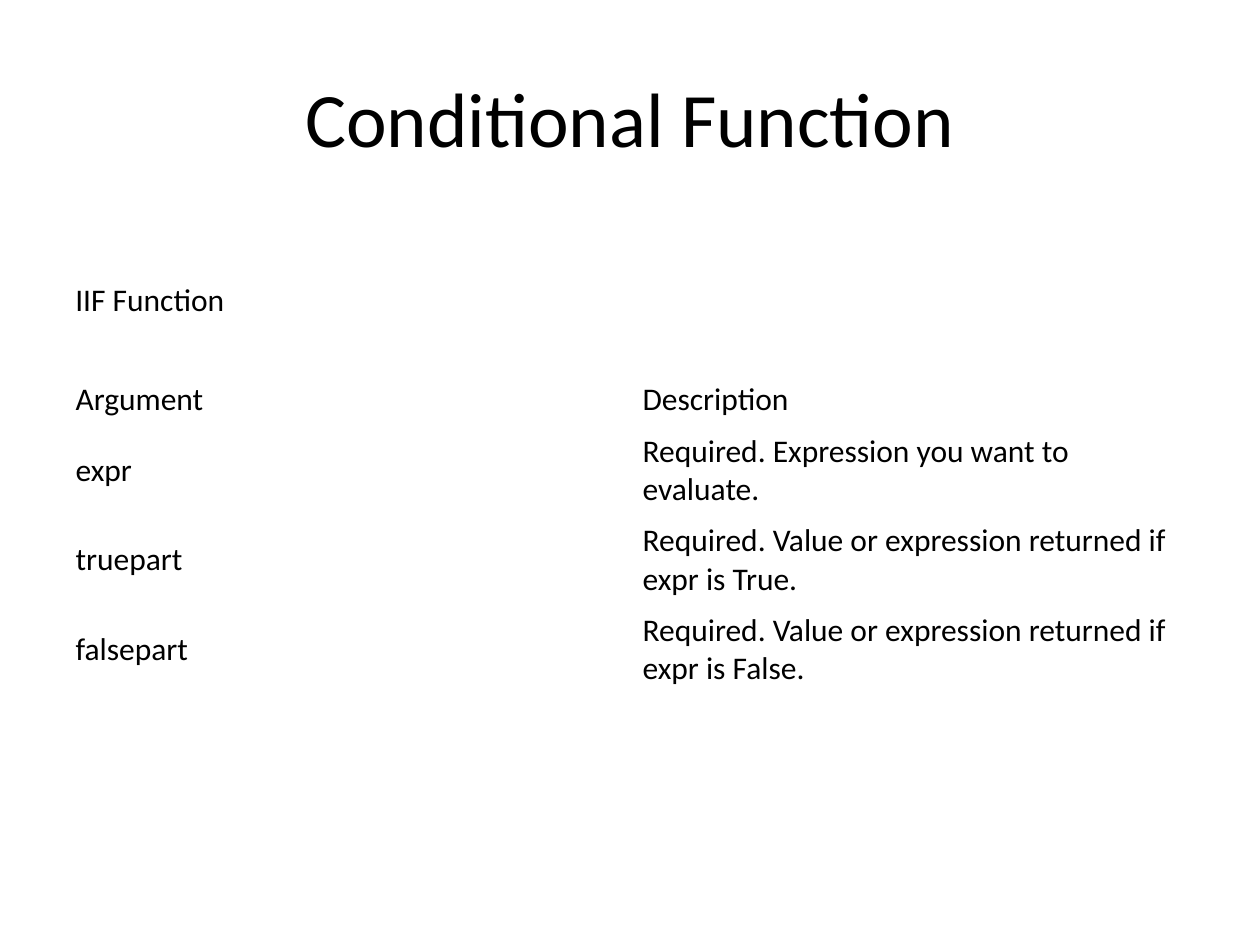
from dataclasses import dataclass

from pptx import Presentation
from pptx.dml.color import RGBColor
from pptx.enum.text import MSO_ANCHOR, PP_ALIGN
from pptx.util import Inches, Pt


@dataclass(frozen=True)
class Theme:
    font: str = "Calibri"
    ink: RGBColor = RGBColor(0, 0, 0)
    title: int = 44
    body: int = 18


THEME = Theme()
MARGIN, CONTENT_W = 0.5, 9
ROWS = [
    ("Argument", "Description"),
    ("expr", "Required. Expression you want to evaluate."),
    ("truepart", "Required. Value or expression returned if expr is True."),
    ("falsepart", "Required. Value or expression returned if expr is False."),
]
HEADER_H, ROW_H = 0.41, 0.71


def write(tf, text, size=THEME.body, align=PP_ALIGN.LEFT, wrap=True):
    tf.word_wrap = wrap
    p = tf.paragraphs[0]
    p.alignment = align
    r = p.add_run()
    r.text = text
    r.font.name, r.font.size, r.font.bold = THEME.font, Pt(size), False
    r.font.color.rgb = THEME.ink


def add_text(s, box, text, anchor=MSO_ANCHOR.TOP, **fmt):
    tf = s.shapes.add_textbox(*map(Inches, box)).text_frame
    tf.vertical_anchor = anchor
    write(tf, text, **fmt)


def add_arguments(s, left, top, width):
    heights = [HEADER_H] + [ROW_H] * (len(ROWS) - 1)
    table = s.shapes.add_table(len(ROWS), len(ROWS[0]), Inches(left), Inches(top),
                               Inches(width), Inches(sum(heights))).table
    table.first_row = table.horz_banding = False
    for row, height, texts in zip(table.rows, heights, ROWS):
        row.height = Inches(height)
        for cell, text in zip(row.cells, texts):
            cell.fill.background()
            cell.vertical_anchor = MSO_ANCHOR.MIDDLE
            write(cell.text_frame, text)


prs = Presentation()
prs.slide_width, prs.slide_height = Inches(10), Inches(7.5)
s = prs.slides.add_slide(prs.slide_layouts[6])

# Title
add_text(s, (MARGIN, 0.3, CONTENT_W, 1.25), "Conditional Function",
         anchor=MSO_ANCHOR.MIDDLE, size=THEME.title, align=PP_ALIGN.CENTER)
# Argument table
add_arguments(s, MARGIN, 2.97, CONTENT_W)
# Function name
add_text(s, (MARGIN, 2.17, 1.4, 0.4), "IIF Function", wrap=False)

prs.save("out.pptx")
